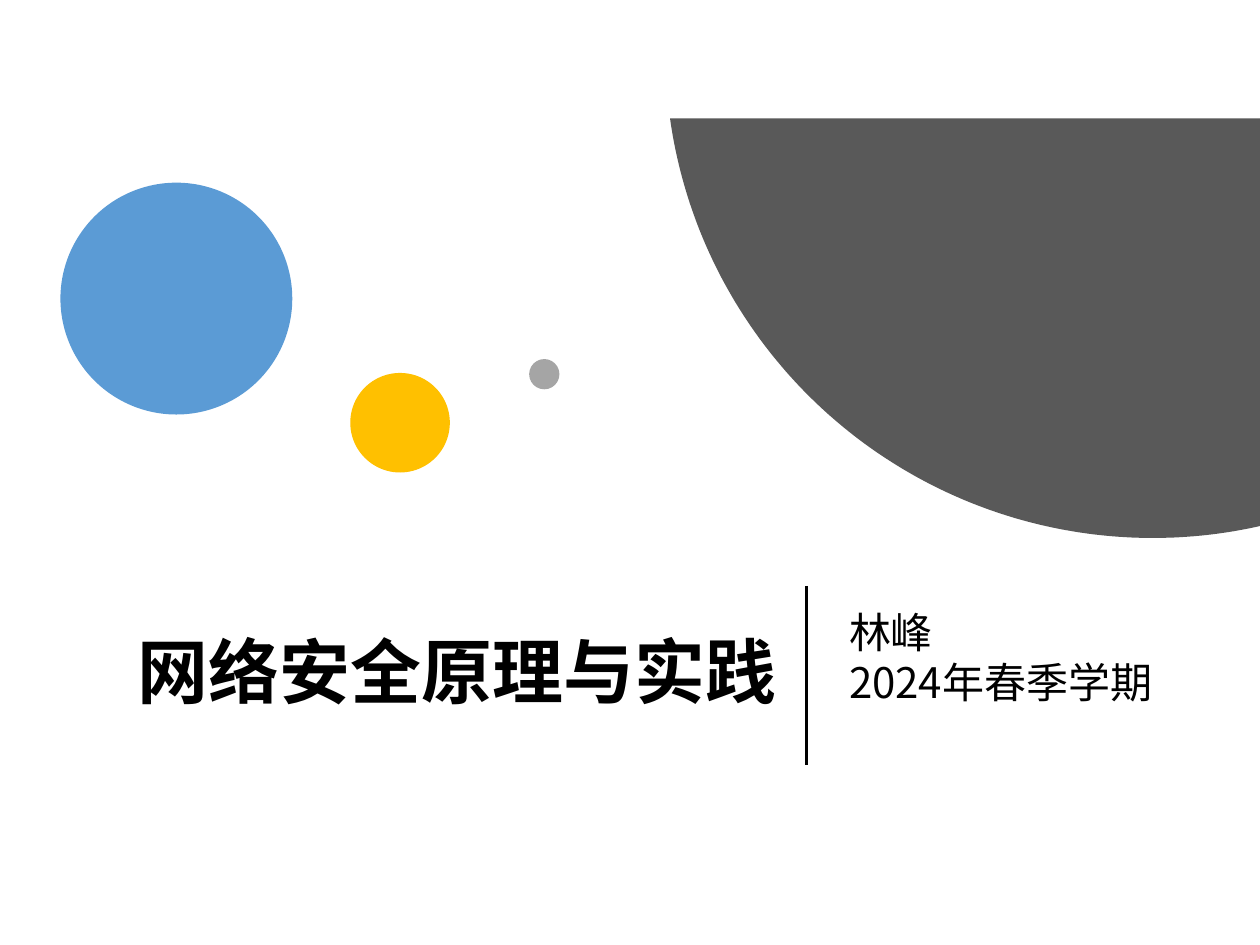
import math

from lxml import etree
from pptx import Presentation
from pptx.dml.color import RGBColor
from pptx.enum.shapes import MSO_CONNECTOR, MSO_SHAPE
from pptx.enum.text import MSO_ANCHOR, PP_ALIGN
from pptx.oxml.ns import qn
from pptx.util import Inches, Pt

OVAL = MSO_SHAPE.OVAL
STRAIGHT = MSO_CONNECTOR.STRAIGHT
TOP, MIDDLE = MSO_ANCHOR.TOP, MSO_ANCHOR.MIDDLE
LEFT, RIGHT = PP_ALIGN.LEFT, PP_ALIGN.RIGHT
FONT = "Noto Sans CJK SC"
BLACK = "000000"


def rgb(value):
    """Turn a hex string into a colour."""
    return RGBColor.from_string(value)


def paint(sp, color):
    """Give a shape a plain fill with no line or shadow."""
    sp.shadow.inherit = False
    sp.fill.solid()
    sp.fill.fore_color.rgb = rgb(color)
    sp.line.fill.background()


def add_circle(s, x, y, size, color):
    """Add a filled circle."""
    paint(s.shapes.add_shape(OVAL, Inches(x), Inches(y), Inches(size), Inches(size)), color)


def add_cut_disc(s, cx, cy, radius, top, right, color, steps=120):
    """Add a disc cut off by a top edge and a right edge."""
    start = math.acos((right - cx) / radius)
    end = math.pi - math.asin((top - cy) / radius)
    angles = [start + (end - start) * i / steps for i in range(steps + 1)]
    arc = [(Inches(cx + radius * math.cos(a)), Inches(cy + radius * math.sin(a))) for a in angles]
    builder = s.shapes.build_freeform(*arc[0], scale=1.0)
    builder.add_line_segments(arc[1:] + [(Inches(right), Inches(top))], close=True)
    paint(builder.convert_to_shape(), color)


def add_line(s, x1, y1, x2, y2, color, width):
    """Add a straight line without a shadow."""
    line = s.shapes.add_connector(STRAIGHT, Inches(x1), Inches(y1), Inches(x2), Inches(y2))
    line.line.color.rgb = rgb(color)
    line.line.width = Pt(width)
    etree.SubElement(line._element.spPr, qn("a:effectLst"))


def add_text(s, text, x, y, w, h, size, bold=False, align=LEFT, anchor=MIDDLE,
             spacing=0.9, before=0, inset=0.05):
    """Add a text box with one paragraph for each line of text."""
    tf = s.shapes.add_textbox(Inches(x), Inches(y), Inches(w), Inches(h)).text_frame
    tf.word_wrap = True
    tf.vertical_anchor = anchor
    tf.margin_top = tf.margin_bottom = Inches(inset)
    for i, line in enumerate(text.split("\n")):
        p = tf.add_paragraph() if i else tf.paragraphs[0]
        p.alignment = align
        p.line_spacing = spacing
        p.space_before = Pt(before if i else 0)
        r = p.add_run()
        r.text = line
        r.font.name = FONT
        r.font.size = Pt(size)
        r.font.bold = bold
        r.font.color.rgb = rgb(BLACK)
        etree.SubElement(r._r.get_or_add_rPr(), qn("a:ea"), typeface=FONT)


def main():
    """Build the title slide and save it."""
    prs = Presentation()
    prs.slide_width, prs.slide_height = Inches(10), Inches(7.5)
    s = prs.slides.add_slide(prs.slide_layouts[6])
    add_text(s, "网络安全原理与实践", 0.48, 4.65, 5.78, 1.43, 40.5, bold=True, align=RIGHT)
    add_text(s, "林峰\n2024年春季学期", 6.64, 4.9, 2.67, 1.43, 24,
             anchor=TOP, spacing=0.78, before=6, inset=0)
    add_circle(s, 0.48, 1.45, 1.84, "5B9BD5")
    add_circle(s, 2.78, 2.96, 0.79, "FFC000")
    add_circle(s, 4.2, 2.85, 0.24, "A5A5A5")
    add_cut_disc(s, 9.15, 0.4, 3.87, 0.94, 10, "595959")
    add_line(s, 6.4, 4.65, 6.4, 6.07, BLACK, 1.5)
    prs.save("out.pptx")


if __name__ == "__main__":
    main()
